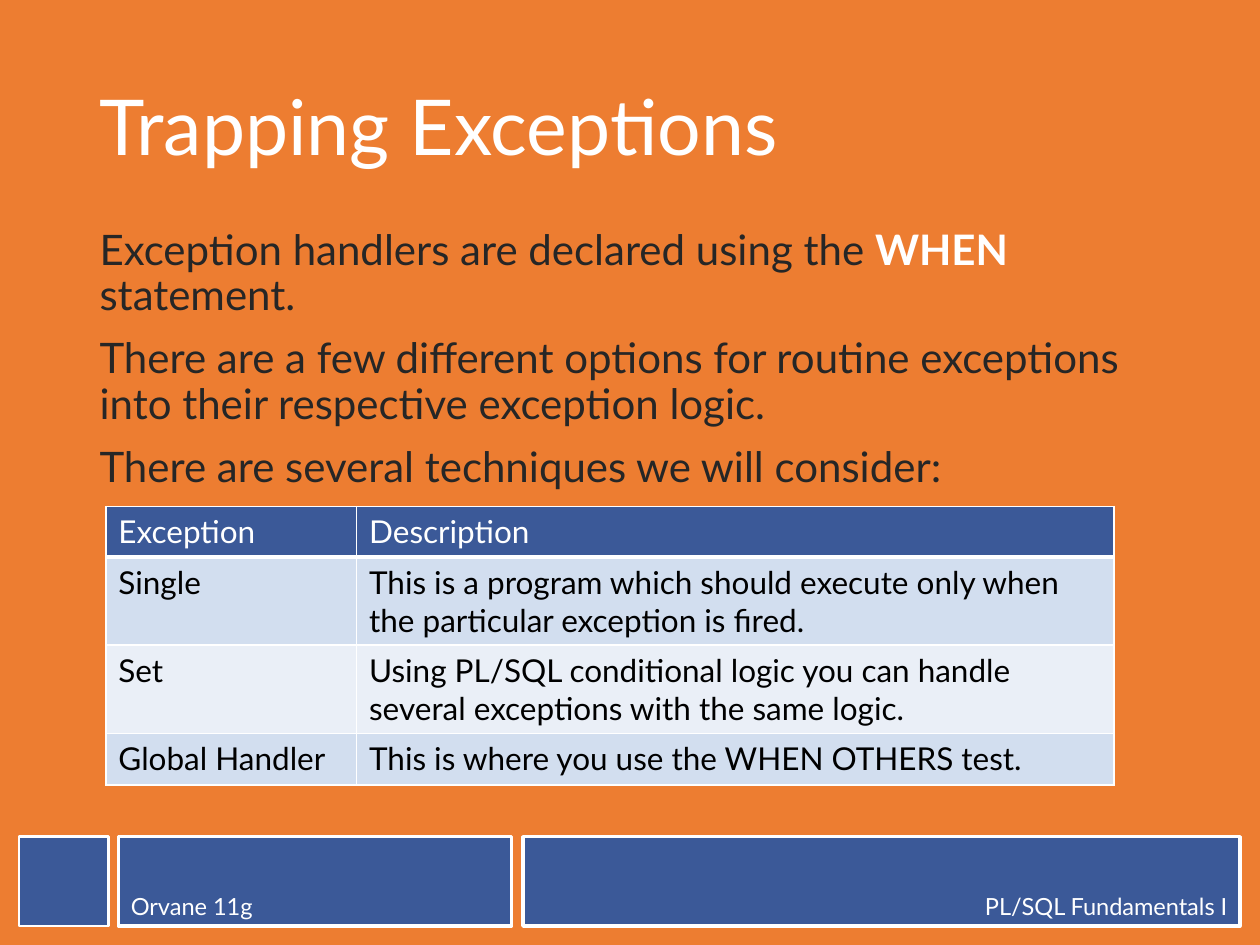
from lxml.etree import SubElement
from pptx import Presentation
from pptx.dml.color import RGBColor
from pptx.enum.shapes import MSO_SHAPE as Shape
from pptx.enum.text import MSO_ANCHOR as Anchor, MSO_AUTO_SIZE as AutoSize, PP_ALIGN as Align
from pptx.oxml.ns import qn
from pptx.util import Inches, Pt

WHITE, BLACK, CHARCOAL = "FFFFFF", "000000", "262626"
ORANGE, BLUE = "ED7D31", "3B5998"
BANDS = ("D2DEEF", "EAEFF7")


def color(hex_code):
    return RGBColor.from_string(hex_code)


def write(paragraph, text, size=18, ink=WHITE, bold=False, font="Lato"):
    run = paragraph.add_run()
    run.text = text
    run.font.name = font
    run.font.size = Pt(size)
    run.font.bold = bold
    run.font.color.rgb = color(ink)


class Deck:
    def __init__(self, width, height, background):
        self.presentation = Presentation()
        self.presentation.slide_width = Inches(width)
        self.presentation.slide_height = Inches(height)
        self.slide = self.presentation.slides.add_slide(self.presentation.slide_layouts[1])
        fill = self.slide.background.fill
        fill.solid()
        fill.fore_color.rgb = color(background)

    def place(self, placeholder, left, top, width, height, anchor):
        placeholder.left, placeholder.top = Inches(left), Inches(top)
        placeholder.width, placeholder.height = Inches(width), Inches(height)
        frame = placeholder.text_frame
        frame.word_wrap = True
        frame.auto_size = AutoSize.NONE
        frame.vertical_anchor = anchor
        return frame

    def title(self, text, *box):
        heading = self.place(self.slide.shapes.title, *box, Anchor.MIDDLE).paragraphs[0]
        heading.alignment = Align.LEFT
        heading.line_spacing = 0.9
        write(heading, text, size=44)

    def body(self, statements, *box):
        frame = self.place(self.slide.placeholders[1], *box, Anchor.TOP)
        for index, pieces in enumerate(statements):
            statement = frame.add_paragraph() if index else frame.paragraphs[0]
            properties = statement._p.get_or_add_pPr()
            properties.set("marL", "0")
            properties.set("indent", "0")
            SubElement(properties, qn("a:buNone"))
            statement.line_spacing = 0.9
            statement.space_before = Pt(10 if index else 0)
            for text, ink, bold in pieces:
                write(statement, text, size=24, ink=ink, bold=bold)

    def footer_box(self, left, width, border=2, text="", align=Align.LEFT):
        box = self.slide.shapes.add_shape(
            Shape.RECTANGLE, Inches(left), Inches(6.64), Inches(width), Inches(0.71))
        box.shadow.inherit = False
        box.fill.solid()
        box.fill.fore_color.rgb = color(BLUE)
        box.line.color.rgb = color(WHITE)
        box.line.width = Pt(border)
        if text:
            box.text_frame.word_wrap = True
            box.text_frame.vertical_anchor = Anchor.BOTTOM
            label = box.text_frame.paragraphs[0]
            label.alignment = align
            write(label, text, size=13.5)

    def border(self, cell, **widths):
        properties = cell._tc.get_or_add_tcPr()
        for side in "LRTB":
            edge = SubElement(properties, qn(f"a:ln{side}"), w=str(Pt(widths.get(side, 1))))
            SubElement(SubElement(edge, qn("a:solidFill")), qn("a:srgbClr"), val=WHITE)

    def table(self, rows, left, top, widths, heights):
        table = self.slide.shapes.add_table(
            len(rows), len(widths), Inches(left), Inches(top),
            Inches(sum(widths)), Inches(sum(heights))).table
        for column, width in zip(table.columns, widths):
            column.width = Inches(width)
        for index, (row, height, entries) in enumerate(zip(table.rows, heights, rows)):
            row.height = Inches(height)
            header = index == 0
            for cell, text in zip(row.cells, entries):
                self.border(cell, B=3 if header else 1, T=3 if index == 1 else 1)
                cell.fill.solid()
                cell.fill.fore_color.rgb = color(BLUE if header else BANDS[(index - 1) % 2])
                write(cell.text_frame.paragraphs[0], text, ink=WHITE if header else BLACK)


def main():
    deck = Deck(10, 7.5, ORANGE)
    deck.footer_box(0.94, 3.12, text="Orvane 11g")
    deck.footer_box(4.15, 5.69, text="PL/SQL Fundamentals I", align=Align.RIGHT)
    deck.footer_box(0.15, 0.71, border=1.5)
    deck.title("Trapping Exceptions", 0.69, 0.4, 8.62, 1.28)
    deck.body([
        [("Exception handlers are declared using the ", CHARCOAL, False),
         ("WHEN", WHITE, True),
         (" statement.", CHARCOAL, False)],
        [("There are a few different options for routine exceptions "
          "into their respective exception logic.", CHARCOAL, False)],
        [("There are several techniques we will consider:", CHARCOAL, False)],
    ], 0.69, 1.77, 8.62, 4.83)
    deck.table([
        ("Exception", "Description"),
        ("Single", "This is a program which should execute only when "
                   "the particular exception is fired."),
        ("Set", "Using PL/SQL conditional logic you can handle "
                "several exceptions with the same logic."),
        ("Global Handler", "This is where you use the WHEN OTHERS test."),
    ], 0.84, 4.02, widths=(1.99, 6.01), heights=(0.4, 0.7, 0.7, 0.41))
    deck.presentation.save("out.pptx")


if __name__ == "__main__":
    main()
